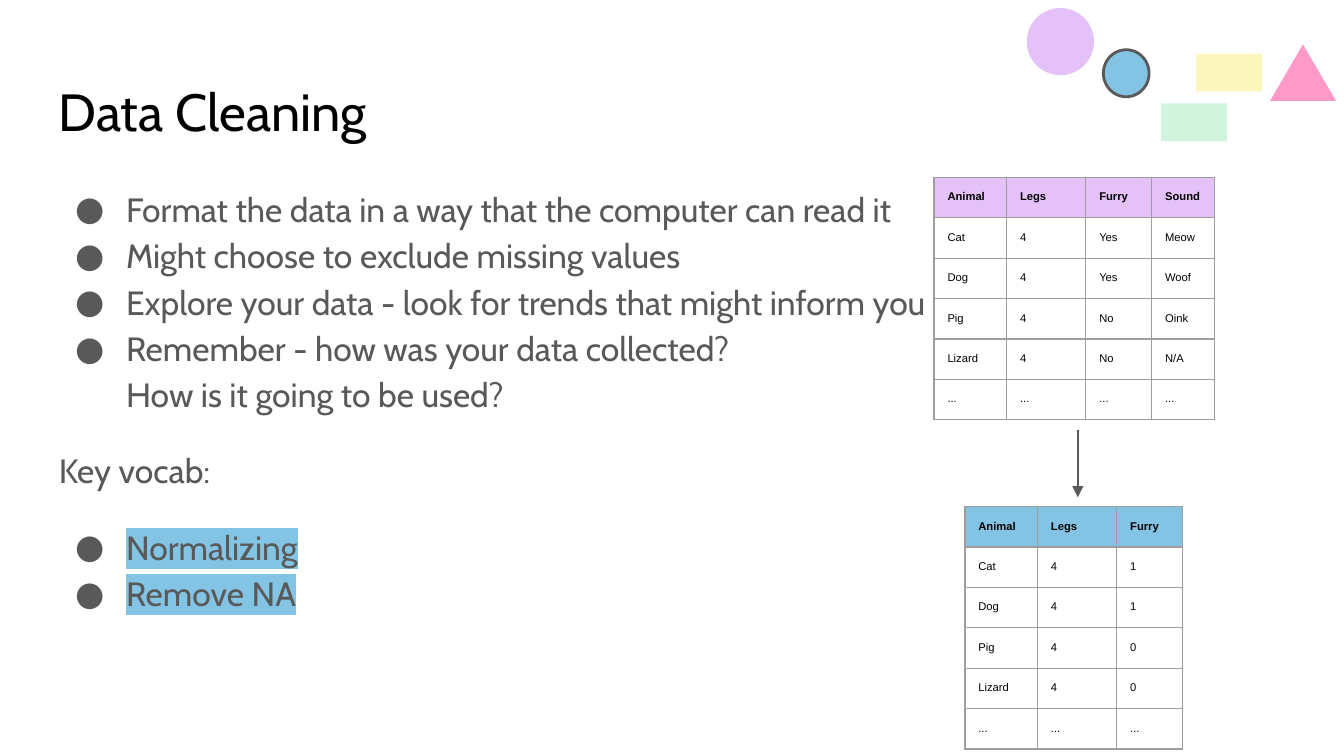
import pptx
import pptx.util
import pptx.dml.color
import pptx.enum.shapes
import pptx.oxml
import pptx.oxml.ns

Inches, Pt = pptx.util.Inches, pptx.util.Pt
RGB = pptx.dml.color.RGBColor
SHAPE = pptx.enum.shapes.MSO_SHAPE
qn = pptx.oxml.ns.qn

BLACK = RGB(0x00, 0x00, 0x00)
GRAY = RGB(0x59, 0x59, 0x59)
RULE = RGB(0x9E, 0x9E, 0x9E)
BLUE = RGB(0x83, 0xC4, 0xE4)
LILAC = RGB(0xE4, 0xC1, 0xF9)
YELLOW = RGB(0xFC, 0xF6, 0xBD)
MINT = RGB(0xD0, 0xF4, 0xDE)
PINK = RGB(0xFF, 0x99, 0xC8)

ITEMS = [
    ("Format the data in a way that the computer can read it", True, 0, None),
    ("Might choose to exclude missing values", True, 0, None),
    ("Explore your data - look for trends that might inform you", True, 0, None),
    ("Remember - how was your data collected?\vHow is it going to be used?", True, 0, None),
    ("Key vocab:", False, 16, None),
    ("Normalizing", True, 16, BLUE),
    ("Remove NA", True, 0, BLUE),
]
COLS = [0.54, 0.59, 0.49, 0.47]
ROWS = [0.27, 0.3, 0.3, 0.3, 0.3, 0.27]
RAW = [
    ["Animal", "Legs", "Furry", "Sound"],
    ["Cat", "4", "Yes", "Meow"],
    ["Dog", "4", "Yes", "Woof"],
    ["Pig", "4", "No", "Oink"],
    ["Lizard", "4", "No", "N/A"],
    ["..."] * 4,
]
CODES = {"Yes": "1", "No": "0"}
CLEAN = [[CODES.get(word, word) for word in row[:3]] for row in RAW]


def add_xml(parent, body):
    """Append a DrawingML element to the parent and return it."""
    head, tail = body.split(" ", 1)
    space = pptx.oxml.ns.nsdecls("a")
    node = pptx.oxml.parse_xml(f"{head} {space} {tail}")
    parent.append(node)
    return node


def style(para, font, size, color, bold=False):
    """Format every run of a paragraph."""
    for run in para.runs:
        run.font.name, run.font.size = font, Pt(size)
        run.font.bold = bold
        run.font.color.rgb = color


def add_box(slide, left, top, width, height):
    """Add a wrapping text box with even insets and return its frame."""
    box = slide.shapes.add_textbox(*map(Inches, (left, top, width, height)))
    frame = box.text_frame
    frame.word_wrap = True
    frame.margin_left = frame.margin_right = Inches(0.1)
    frame.margin_top = frame.margin_bottom = Inches(0.1)
    return frame


def add_title(slide, left, top, width, height):
    """Write the slide heading."""
    frame = add_box(slide, left, top, width, height)
    frame.text = "Data Cleaning"
    style(frame.paragraphs[0], "Cabin", 28, BLACK)


def add_body(slide, left, top, width, height):
    """Write the bullets and the key vocabulary."""
    frame = add_box(slide, left, top, width, height)
    for i, (text, dot, gap, mark) in enumerate(ITEMS):
        para = frame.add_paragraph() if i else frame.paragraphs[0]
        para.text = text
        para.line_spacing, para.space_before = 1.15, Pt(gap)
        style(para, "Cabin", 18, GRAY)
        if dot:
            props = para._p.get_or_add_pPr()
            props.set("marL", str(Inches(0.5)))
            props.set("indent", str(Inches(-0.38)))
            add_xml(props, f'<a:buClr ><a:srgbClr val="{GRAY}"/></a:buClr>')
            add_xml(props, '<a:buFont typeface="Cabin"/>')
            add_xml(props, '<a:buChar char="●"/>')
        if mark:
            props = para.runs[0]._r.get_or_add_rPr()
            light = add_xml(props, f'<a:highlight ><a:srgbClr val="{mark}"/></a:highlight>')
            props.find(qn("a:solidFill")).addnext(light)


def add_grid(slide, left, top, data, color):
    """Draw a ruled table with a coloured heading row."""
    cols = COLS[:len(data[0])]
    size = map(Inches, (left, top, sum(cols), sum(ROWS)))
    table = slide.shapes.add_table(len(data), len(cols), *size).table
    table.horz_banding = False
    for col, width in zip(table.columns, cols):
        col.width = Inches(width)
    for r, (row, height) in enumerate(zip(data, ROWS)):
        table.rows[r].height = Inches(height)
        for c, word in enumerate(row):
            cell = table.cell(r, c)
            cell.text = word
            style(cell.text_frame.paragraphs[0], "Arial", 6, BLACK, r == 0)
            cell.margin_left = cell.margin_right = Inches(0.1)
            cell.margin_top = cell.margin_bottom = Inches(0.1)
            for side in "LRTB":
                add_xml(cell._tc.get_or_add_tcPr(),
                        f'<a:ln{side} w="{Pt(0.75)}"><a:solidFill>'
                        f'<a:srgbClr val="{RULE}"/></a:solidFill></a:ln{side}>')
            if r == 0:
                cell.fill.solid()
                cell.fill.fore_color.rgb = color
            else:
                cell.fill.background()


def add_arrow(slide, left, top, height):
    """Draw the downward arrow between the tables."""
    ends = map(Inches, (left, top, left, top + height))
    arrow = slide.shapes.add_connector(pptx.enum.shapes.MSO_CONNECTOR.STRAIGHT, *ends)
    arrow.line.color.rgb, arrow.line.width = GRAY, Pt(0.75)
    add_xml(arrow.line._get_or_add_ln(), '<a:tailEnd type="triangle"/>')
    add_xml(arrow._element.spPr, "<a:effectLst />")


def add_decor(slide, left, top):
    """Group the pastel shapes of the corner."""
    group = slide.shapes.add_group_shape()
    for kind, x, y, width, height, color, edge in [
        (SHAPE.RECTANGLE, 1.26, 0.34, 0.49, 0.28, YELLOW, None),
        (SHAPE.RECTANGLE, 1, 0.71, 0.49, 0.28, MINT, None),
        (SHAPE.OVAL, 0.57, 0.31, 0.34, 0.35, BLUE, GRAY),
        (SHAPE.OVAL, 0, 0, 0.5, 0.5, LILAC, None),
        (SHAPE.ISOSCELES_TRIANGLE, 1.81, 0.27, 0.49, 0.42, PINK, None),
    ]:
        place = map(Inches, (left + x, top + y, width, height))
        shape = group.shapes.add_shape(kind, *place)
        shape.shadow.inherit = False
        shape.fill.solid()
        shape.fill.fore_color.rgb = color
        if edge:
            shape.line.color.rgb, shape.line.width = edge, Pt(1.5)
        else:
            shape.line.fill.background()


def main():
    """Build the slide and save it."""
    deck = pptx.Presentation()
    deck.slide_width = Inches(10)
    deck.slide_height = deck.slide_width * 9 // 16
    slide = deck.slides.add_slide(deck.slide_layouts[6])
    add_title(slide, 0.34, 0.49, 9.32, 0.63)
    add_body(slide, 0.34, 1.26, 9.32, 3.74)
    add_grid(slide, 6.95, 1.32, RAW, LILAC)
    add_grid(slide, 7.18, 3.77, CLEAN, BLUE)
    add_arrow(slide, 8.02, 3.2, 0.5)
    add_decor(slide, 7.64, 0.06)
    deck.save("out.pptx")


if __name__ == "__main__":
    main()
